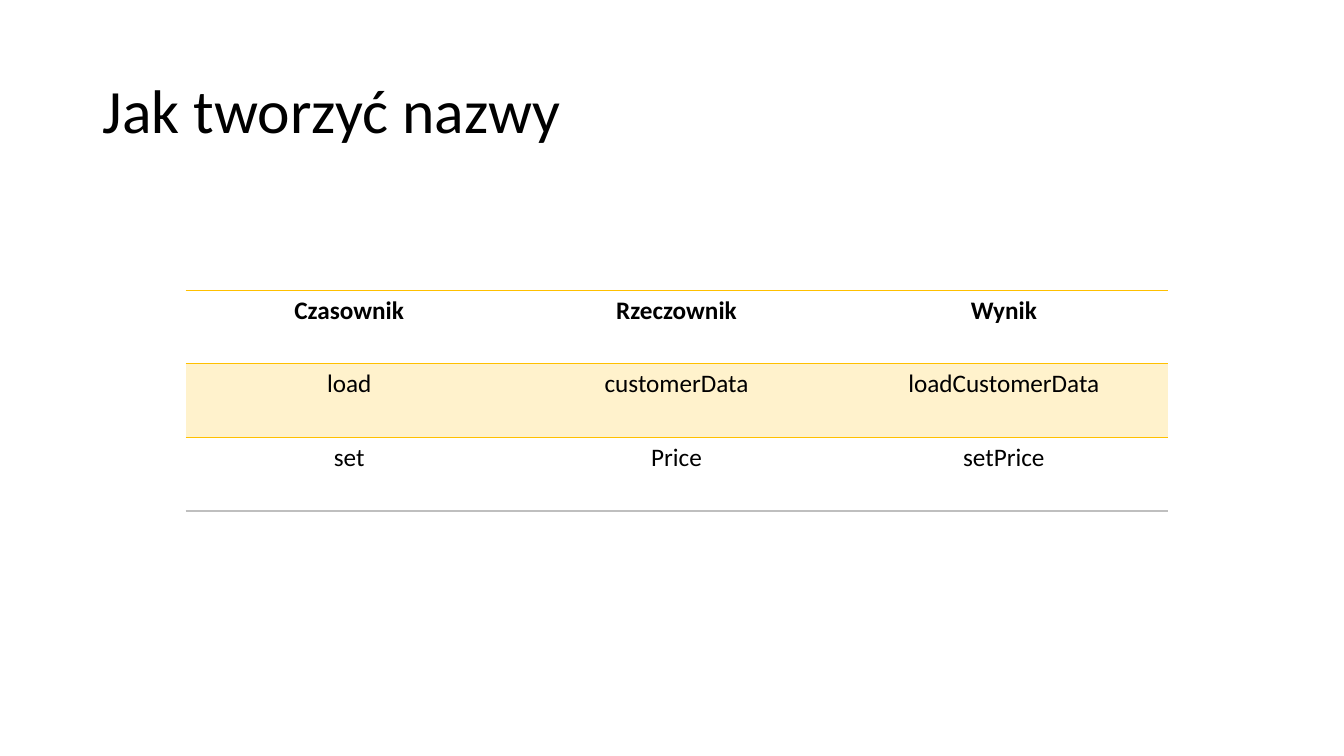
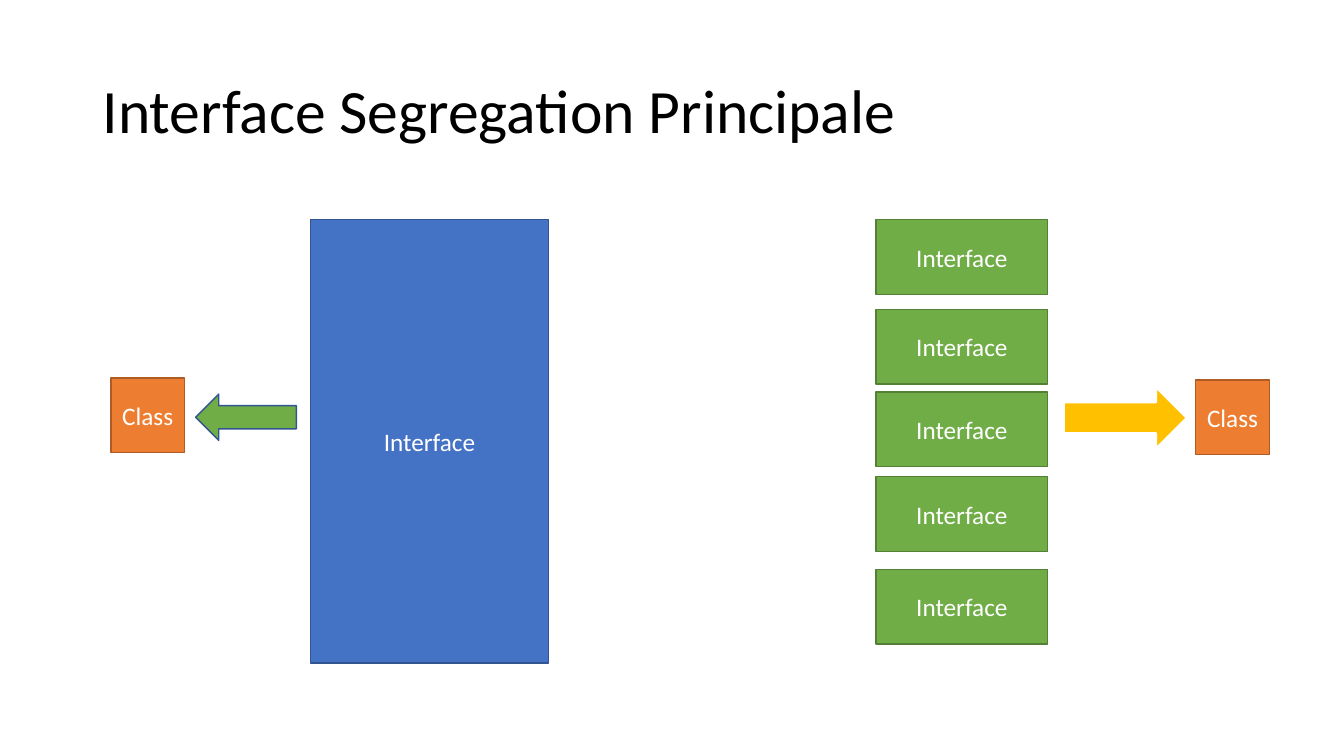
from lxml import etree
from pptx import Presentation
from pptx import oxml
from pptx import util as u
from pptx.dml.color import RGBColor
from pptx.enum import shapes, text
from pptx.oxml.ns import qn

BLACK, WHITE = "000000", "FFFFFF"
BLUE, DARK_BLUE = "4472C4", "325491"
GREEN, DARK_GREEN = "70AD47", "538035"
ORANGE, DARK_ORANGE = "ED7D31", "AF5C24"
GOLD, PALE_GOLD, GREY = "FFC000", "FFF2CC", "BFBFBF"
NO_STYLE = "{2D5ABB26-0587-4C30-8999-92F81FD0307C}"


def color(value):
    return RGBColor.from_string(value)


class Deck:
    """Holds the shared style and the slide being built."""

    font = "Calibri"
    title_box = (0.92, 0.4, 11.5, 1.45)

    def __init__(self):
        self.presentation = Presentation()
        self.presentation.slide_width = u.Inches(13.33)
        self.presentation.slide_height = u.Inches(7.5)
        self.slide = None

    def new_slide(self, title):
        layout = self.presentation.slide_layouts[6]
        self.slide = self.presentation.slides.add_slide(layout)
        box = self.slide.shapes.add_textbox(*map(u.Inches, self.title_box))
        box.text_frame.word_wrap = True
        box.text_frame.vertical_anchor = text.MSO_ANCHOR.MIDDLE
        self.add_words(box.text_frame, title, BLACK, text.PP_ALIGN.LEFT, size=u.Pt(44))
        box.text_frame.paragraphs[0].line_spacing = 0.9

    def add_words(self, frame, words, ink, align=text.PP_ALIGN.CENTER, **changes):
        paragraph = frame.paragraphs[0]
        paragraph.alignment = align
        run = paragraph.add_run()
        run.text = words
        run.font.color.rgb = color(ink)
        formats = {"name": self.font, "size": u.Pt(18), "bold": False, **changes}
        for name, value in formats.items():
            setattr(run.font, name, value)

    def shape(self, kind, place, fill, line, words="", width=1):
        shape = self.slide.shapes.add_shape(kind, *map(u.Inches, place))
        shape.shadow.inherit = False
        shape.fill.solid()
        shape.fill.fore_color.rgb = color(fill)
        shape.line.color.rgb = color(line)
        shape.line.width = u.Pt(width)
        if words:
            frame = shape.text_frame
            formats = {
                "word_wrap": True,
                "vertical_anchor": text.MSO_ANCHOR.MIDDLE,
                "margin_left": u.Inches(0.05),
                "margin_right": u.Inches(0.05),
            }
            for name, value in formats.items():
                setattr(frame, name, value)
            self.add_words(frame, words, WHITE)

    def box(self, place, fill, line, words):
        self.shape(shapes.MSO_SHAPE.RECTANGLE, place, fill, line, words)

    def table(self, place, rows, fills, borders):
        """Fills go by row; borders map a row to its (tag, colour) pairs."""
        graphic = self.slide.shapes.add_table(
            len(rows), len(rows[0]), *map(u.Inches, place))
        graphic.element.xpath(".//a:tableStyleId")[0].text = NO_STYLE
        table = graphic.table
        table.horz_banding = False
        for row, words in enumerate(rows):
            for column, word in enumerate(words):
                cell = table.cell(row, column)
                self.add_words(cell.text_frame, word, BLACK, bold=row == 0)
                for tag, ink in borders.get(row, []):
                    self.border(cell, tag, ink)
                if row in fills:
                    cell.fill.solid()
                    cell.fill.fore_color.rgb = color(fills[row])
                else:
                    cell.fill.background()

    def border(self, cell, tag, ink):
        properties = cell._tc.get_or_add_tcPr()
        line = etree.SubElement(properties, qn(tag), w=str(u.Pt(1)))
        line.append(oxml.parse_xml(
            '<a:solidFill xmlns:a="http://schemas.openxmlformats.org/drawingml/2006/main">'
            f'<a:srgbClr val="{ink}"/></a:solidFill>'))


def main():
    deck = Deck()

    # Naming table
    deck.new_slide("Jak tworzyć nazwy")
    deck.table(
        (1.84, 2.88, 9.74, 2.19),
        [("Czasownik", "Rzeczownik", "Wynik"),
         ("load", "customerData", "loadCustomerData"),
         ("set", "Price", "setPrice")],
        fills={1: PALE_GOLD},
        borders={0: [("a:lnT", GOLD), ("a:lnB", GOLD)],
                 1: [("a:lnT", GOLD)],
                 2: [("a:lnB", GREY)]})

    # One large interface against several small ones
    deck.new_slide("Interface Segregation Principale")
    deck.box((3.08, 2.18, 2.36, 4.4), BLUE, DARK_BLUE, "Interface")
    for left, top in ((1.1, 3.75), (11.86, 3.77)):
        deck.box((left, top, 0.73, 0.74), ORANGE, DARK_ORANGE, "Class")
    for top in (2.18, 3.07, 3.89, 4.73, 5.65):
        deck.box((8.69, top, 1.7, 0.74), GREEN, DARK_GREEN, "Interface")

    # Arrows to the classes
    deck.shape(shapes.MSO_SHAPE.RIGHT_ARROW, (10.55, 3.84, 1.22, 0.61),
               GOLD, WHITE, width=1.5)
    deck.shape(shapes.MSO_SHAPE.LEFT_ARROW, (1.94, 3.91, 1, 0.46),
               GREEN, DARK_BLUE)

    deck.presentation.save("out.pptx")


if __name__ == "__main__":
    main()
